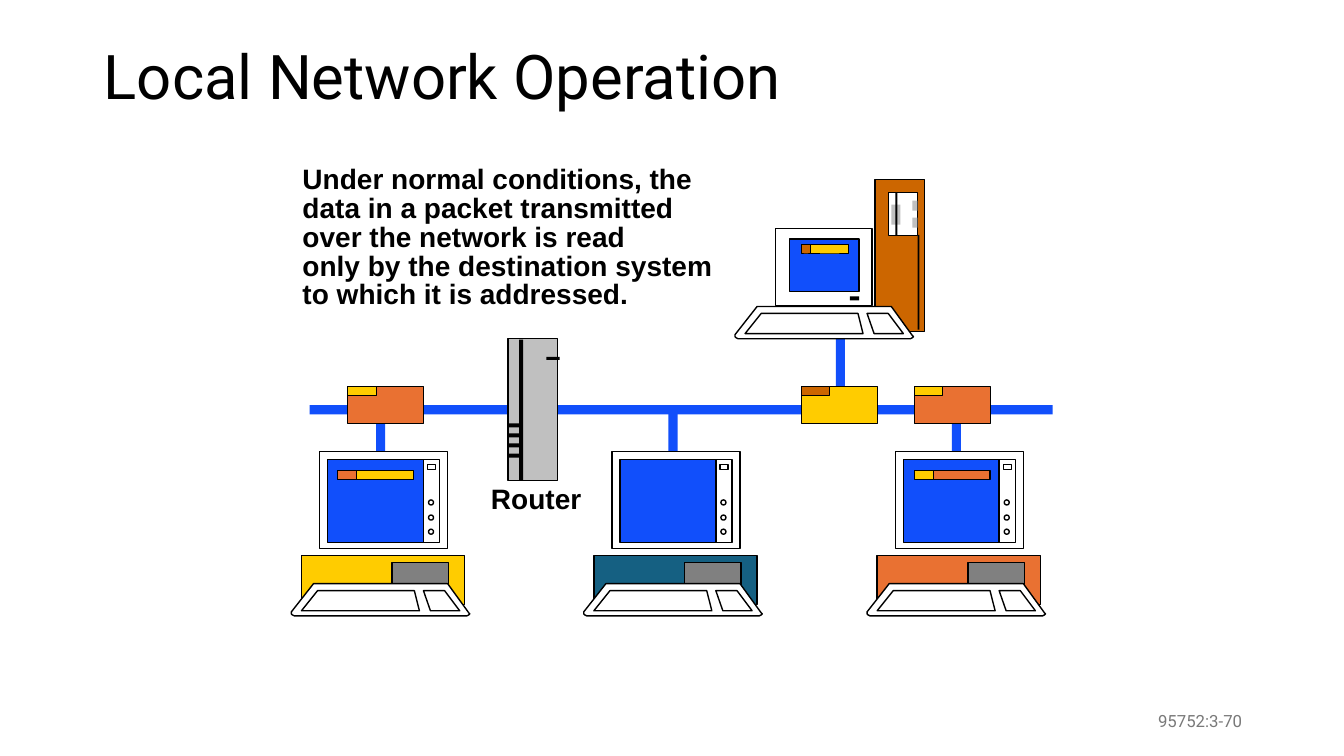
from pptx import Presentation
from pptx.dml.color import RGBColor
from pptx.enum.shapes import MSO_SHAPE
from pptx.enum.text import MSO_ANCHOR, MSO_AUTO_SIZE, PP_ALIGN
from pptx.util import Inches, Pt

HUES = {"blue": "114FFB", "teal": "156082", "gold": "FFCC00", "coral": "E97132",
        "brown": "CC6600", "gray": "808080", "silver": "C0C0C0",
        "white": "FFFFFF", "black": "000000", "page": "797979"}

TITLE = "Local Network Operation"
NOTE = ["Under normal conditions, the data in a packet transmitted over the network is read",
        "only by the destination system to which it is addressed."]
PAGE = "95752:3-70"

# Left edge of each computer's keyboard, and colour of its case
PCS = [(2.89, "gold"), (5.79, "teal"), (8.6, "coral")]
PC_TOP = 4.48

# Outlines as offsets from the keyboard's top left corner
KEYBOARD = [
    [(0.22, 0), (1.55, 0), (1.76, 0.29), (1.77, 0.3), (1.76, 0.31), (1.74, 0.32),
     (0.03, 0.32), (0.01, 0.31), (0, 0.3), (0, 0.28)],
    [(0.26, 0.07), (1.22, 0.07), (1.27, 0.27), (0.1, 0.27)],
    [(1.31, 0.07), (1.52, 0.07), (1.67, 0.27), (1.38, 0.27)],
]

# Packets on the cable: left edge, body colour, tab colour
PACKETS = [(7.95, "gold", "brown"), (3.45, "coral", "gold"), (9.07, "coral", "gold")]

# Messages on the screens: left, top, head width, body width, head and body colour
MESSAGES = [(7.95, 2.43, 0.09, 0.38, "brown", "gold"),
            (3.35, 4.67, 0.19, 0.56, "coral", "gold"),
            (9.07, 4.67, 0.19, 0.56, "gold", "coral")]

# Server parts: left, top, width, height, colour, line width
TOWER = [(8.68, 1.78, 0.49, 1.51, "brown", 1), (8.81, 1.91, 0.29, 0.43, "white", 1),
         (9.1, 2.33, 0.02, 0.94, "black", 0), (8.84, 2.03, 0.09, 0.2, "silver", 0),
         (8.88, 1.91, 0.02, 0.43, "black", 0), (9.05, 1.99, 0.05, 0.1, "silver", 0),
         (9.05, 2.16, 0.05, 0.1, "silver", 0)]
DISPLAY = [(7.69, 2.27, 0.96, 0.76, "white", 1), (7.83, 2.37, 0.69, 0.52, "blue", 1),
           (8.43, 2.94, 0.09, 0.04, "black", 0)]
SERVER_KEYS = (7.29, 3.04)

ROUTER = [(5.04, 3.36, 0.49, 1.41, "silver", 1), (5.15, 3.37, 0.04, 1.4, "black", 0),
          (5.42, 3.54, 0.13, 0.03, "black", 0)]
VENTS = 4

BUS = (3.07, 4.02, 7.37)
CABLE = 0.09

deck = Presentation()
deck.slide_width, deck.slide_height = Inches(13.33), Inches(7.5)
slide = deck.slides.add_slide(deck.slide_layouts[5])
shapes = slide.shapes


def color(name):
    return RGBColor.from_string(HUES[name])


def paint(shape, fill, line):
    shape.shadow.inherit = False
    shape.fill.solid()
    shape.fill.fore_color.rgb = color(fill)
    if line:
        shape.line.color.rgb = color("black")
        shape.line.width = Pt(line)
    else:
        shape.line.fill.background()


def block(x, y, wide, high, fill, line=0, kind=MSO_SHAPE.RECTANGLE):
    shape = shapes.add_shape(kind, Inches(x), Inches(y), Inches(wide), Inches(high))
    paint(shape, fill, line)


def write(box, lines, size=20, font="Arial", bold=False, hue="black", align=PP_ALIGN.LEFT,
          space=None, anchor=MSO_ANCHOR.TOP, wrap=True, pad=(0.11, 0.06)):
    frame = box.text_frame
    frame.word_wrap = wrap
    frame.auto_size = MSO_AUTO_SIZE.NONE
    frame.vertical_anchor = anchor
    frame.margin_left = frame.margin_right = Inches(pad[0])
    frame.margin_top = frame.margin_bottom = Inches(pad[1])
    frame.text = "\n".join(lines)
    for para in frame.paragraphs:
        para.alignment = align
        para.line_spacing = space
        para.font.size = Pt(size)
        para.font.name = font
        para.font.bold = bold
        para.font.color.rgb = color(hue)


def label(x, y, wide, high, lines, **style):
    box = shapes.add_textbox(Inches(x), Inches(y), Inches(wide), Inches(high))
    write(box, lines, **style)


def keyboard(x, y):
    for points in KEYBOARD:
        spots = [(Inches(x + dx), Inches(y + dy)) for dx, dy in points]
        pen = shapes.build_freeform(*spots[0])
        pen.add_line_segments(spots[1:], close=True)
        paint(pen.convert_to_shape(), "white", 1)


def computer(x, case):
    y = PC_TOP
    block(x + 0.1, y + 1.03, 1.62, 0.49, case, 1)
    block(x + 1, y + 1.1, 0.56, 0.23, "gray", 1)
    keyboard(x, y + 1.31)
    block(x + 0.28, y, 1.27, 0.96, "white", 1)
    block(x + 0.36, y + 0.08, 1.1, 0.82, "blue", 1)
    block(x + 1.31, y + 0.08, 0.16, 0.82, "white", 1)
    block(x + 1.35, y + 0.13, 0.08, 0.05, "white", 1)
    for dy in (0.48, 0.63, 0.77):
        block(x + 1.36, y + dy, 0.05, 0.05, "white", 1, MSO_SHAPE.OVAL)


title = shapes.title
title.left, title.top = Inches(0.92), Inches(0.4)
title.width, title.height = Inches(11.5), Inches(1.45)
write(title, [TITLE], size=44, font="Roboto", space=0.9)

# Cables
left, top, span = BUS
for x, _ in PCS:
    block(x + 0.84, top, CABLE, 0.8, "blue")
block(8.29, 3.27, CABLE, 0.8, "blue")
block(left, top, span, CABLE, "blue")

# Computers, server and router
for part in TOWER:
    block(*part)
keyboard(*SERVER_KEYS)
for part in DISPLAY:
    block(*part)
for x, case in PCS:
    computer(x, case)
for part in ROUTER:
    block(*part)
for i in range(VENTS):
    block(5.04, 4.2 + 0.1 * i, 0.11, 0.04, "black")

# Packets and messages
for x, body, tab in PACKETS:
    block(x, 3.83, 0.75, 0.37, body, 0.75)
    block(x, 3.83, 0.28, 0.09, tab, 0.75)
for x, y, head, body, tint, fill in MESSAGES:
    block(x, y, head, 0.09, tint, 0.75)
    block(x + head, y, body, 0.09, fill, 0.75)

label(2.89, 1.59, 4.52, 1.56, NOTE, bold=True, space=0.86)
label(4.76, 4.77, 1.13, 0.4, ["Router"], bold=True, space=0.86, wrap=False)
label(9.42, 6.95, 3, 0.4, [PAGE], size=12, font="Roboto", hue="page",
      align=PP_ALIGN.RIGHT, anchor=MSO_ANCHOR.MIDDLE, pad=(0.1, 0.05))

deck.save("out.pptx")
